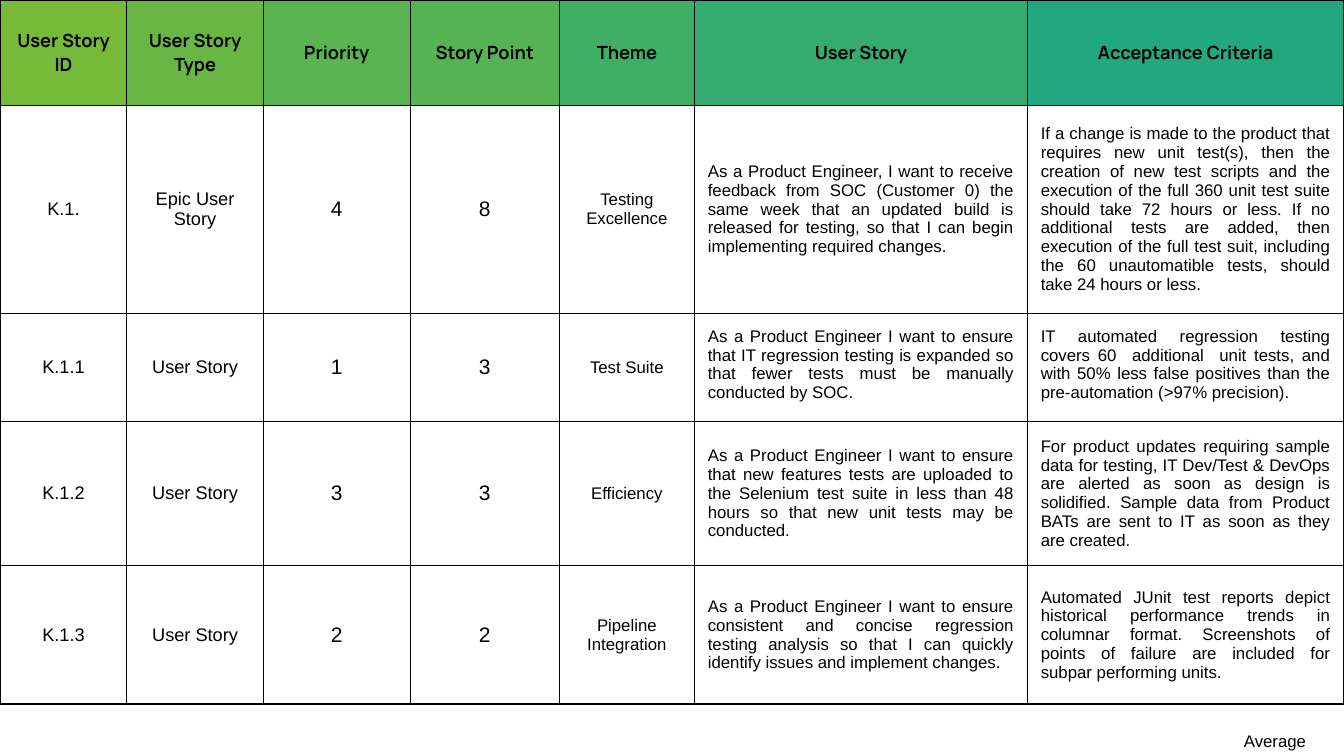
from dataclasses import dataclass

from lxml.etree import SubElement
from pptx import Presentation
from pptx.dml.color import RGBColor
from pptx.enum.text import MSO_ANCHOR as Anchor, PP_ALIGN as Align
from pptx.oxml.ns import qn
from pptx.util import Pt


@dataclass(frozen=True)
class Theme:
    ink: str = "000000"
    header_fills: tuple = ("77BA39", "68B745", "5AB451", "56B354",
                           "3FAF66", "34AC70", "21A880")
    header_font: str = "Manrope"
    body_font: str = "Arial"
    header_size: float = 13
    column_sizes: tuple = (13, 13, 15, 15, 12, 12, 12)
    note_size: float = 12
    inset: float = 9.6
    thin: float = 0.75
    thick: float = 1


THEME = Theme()
COLUMN_WIDTHS = (90.7, 97.2, 105.1, 106.6, 96.5, 237.8, 226.1)
ROW_HEIGHTS = (75, 149, 77, 103, 99)
FIRST_PROSE_COLUMN = 5
TOP_ALIGNED_ROW = 2
FIRST_THICK_ROW = 2

HEADERS = ("User Story ID", "User Story Type", "Priority", "Story Point",
           "Theme", "User Story", "Acceptance Criteria")
STORIES = (
    ("K.1.", "Epic User Story", "4", "8", "Testing Excellence",
     "As a Product Engineer, I want to receive feedback from SOC (Customer 0) "
     "the same week that an updated build is released for testing, so that I "
     "can begin implementing required changes.",
     "If a change is made to the product that requires new unit test(s), then "
     "the creation of new test scripts and the execution of the full 360 unit "
     "test suite should take 72 hours or less. If no additional tests are "
     "added, then execution of the full test suit, including the 60 "
     "unautomatible tests, should take 24 hours or less."),
    ("K.1.1", "User Story", "1", "3", "Test Suite",
     "As a Product Engineer I want to ensure that IT regression testing is "
     "expanded so that fewer tests must be manually conducted by SOC.",
     "IT automated regression testing covers 60  additional  unit tests, and "
     "with 50% less false positives than the pre-automation "
     "(>97% precision)."),
    ("K.1.2", "User Story", "3", "3", "Efficiency",
     "As a Product Engineer I want to ensure that new features tests are "
     "uploaded to the Selenium test suite in less than 48 hours so that new "
     "unit tests may be conducted.",
     "For product updates requiring sample data for testing, IT Dev/Test & "
     "DevOps are alerted as soon as design is solidified. Sample data from "
     "Product BATs are sent to IT as soon as they are created."),
    ("K.1.3", "User Story", "2", "2", "Pipeline Integration",
     "As a Product Engineer I want to ensure consistent and concise "
     "regression testing analysis so that I can quickly identify issues and "
     "implement changes.",
     "Automated JUnit test reports depict historical performance trends in "
     "columnar format. Screenshots of points of failure are included for "
     "subpar performing units."),
)


def write(frame, text, font_name, size, bold=False, align=Align.CENTER):
    frame.text = text
    paragraph = frame.paragraphs[0]
    paragraph.alignment = align
    font = paragraph.font
    font.name, font.size, font.bold = font_name, Pt(size), bold
    font.color.rgb = RGBColor.from_string(THEME.ink)


def set_insets(holder):
    for side in ("left", "top", "right", "bottom"):
        setattr(holder, f"margin_{side}", Pt(THEME.inset))


def draw_borders(cell, top, bottom):
    properties = cell._tc.get_or_add_tcPr()
    widths = {"a:lnL": THEME.thin, "a:lnR": THEME.thin,
              "a:lnT": top, "a:lnB": bottom}
    for tag, width in widths.items():
        line = SubElement(properties, qn(tag), w=str(Pt(width)))
        paint = SubElement(line, qn("a:solidFill"))
        SubElement(paint, qn("a:srgbClr"), val=THEME.ink)


def bottom_rule(row):
    return THEME.thick if row >= FIRST_THICK_ROW else THEME.thin


def prepare_cell(cell, row):
    set_insets(cell)
    cell.vertical_anchor = Anchor.MIDDLE
    draw_borders(cell, bottom_rule(row - 1), bottom_rule(row))


def fill_header(cell, column):
    cell.fill.solid()
    cell.fill.fore_color.rgb = RGBColor.from_string(THEME.header_fills[column])
    write(cell.text_frame, HEADERS[column], THEME.header_font,
          THEME.header_size, bold=True)


def fill_story(cell, row, column):
    cell.fill.background()
    is_prose = column >= FIRST_PROSE_COLUMN
    if is_prose and row == TOP_ALIGNED_ROW:
        cell.vertical_anchor = Anchor.TOP
    write(cell.text_frame, STORIES[row - 1][column], THEME.body_font,
          THEME.column_sizes[column],
          align=Align.JUSTIFY if is_prose else Align.CENTER)


def add_backlog(slide):
    backlog = slide.shapes.add_table(
        len(ROW_HEIGHTS), len(COLUMN_WIDTHS), Pt(0), Pt(0),
        Pt(sum(COLUMN_WIDTHS)), Pt(sum(ROW_HEIGHTS))).table
    backlog.horz_banding = False
    for column, width in zip(backlog.columns, COLUMN_WIDTHS):
        column.width = Pt(width)
    for r, height in enumerate(ROW_HEIGHTS):
        backlog.rows[r].height = Pt(height)
        for c in range(len(COLUMN_WIDTHS)):
            cell = backlog.cell(r, c)
            prepare_cell(cell, r)
            if r == 0:
                fill_header(cell, c)
            else:
                fill_story(cell, r, c)


def add_note(slide, text, left, top, width, height):
    frame = slide.shapes.add_textbox(
        Pt(left), Pt(top), Pt(width), Pt(height)).text_frame
    frame.word_wrap = True
    set_insets(frame)
    frame.vertical_anchor = Anchor.TOP
    write(frame, text, THEME.body_font, THEME.note_size)


def main():
    deck = Presentation()
    deck.slide_width, deck.slide_height = Pt(960), Pt(540)
    slide = deck.slides.add_slide(deck.slide_layouts[6])
    add_backlog(slide)
    add_note(slide, "Average", 861.5, 515, 98.5, 24)
    deck.save("out.pptx")


if __name__ == "__main__":
    main()
